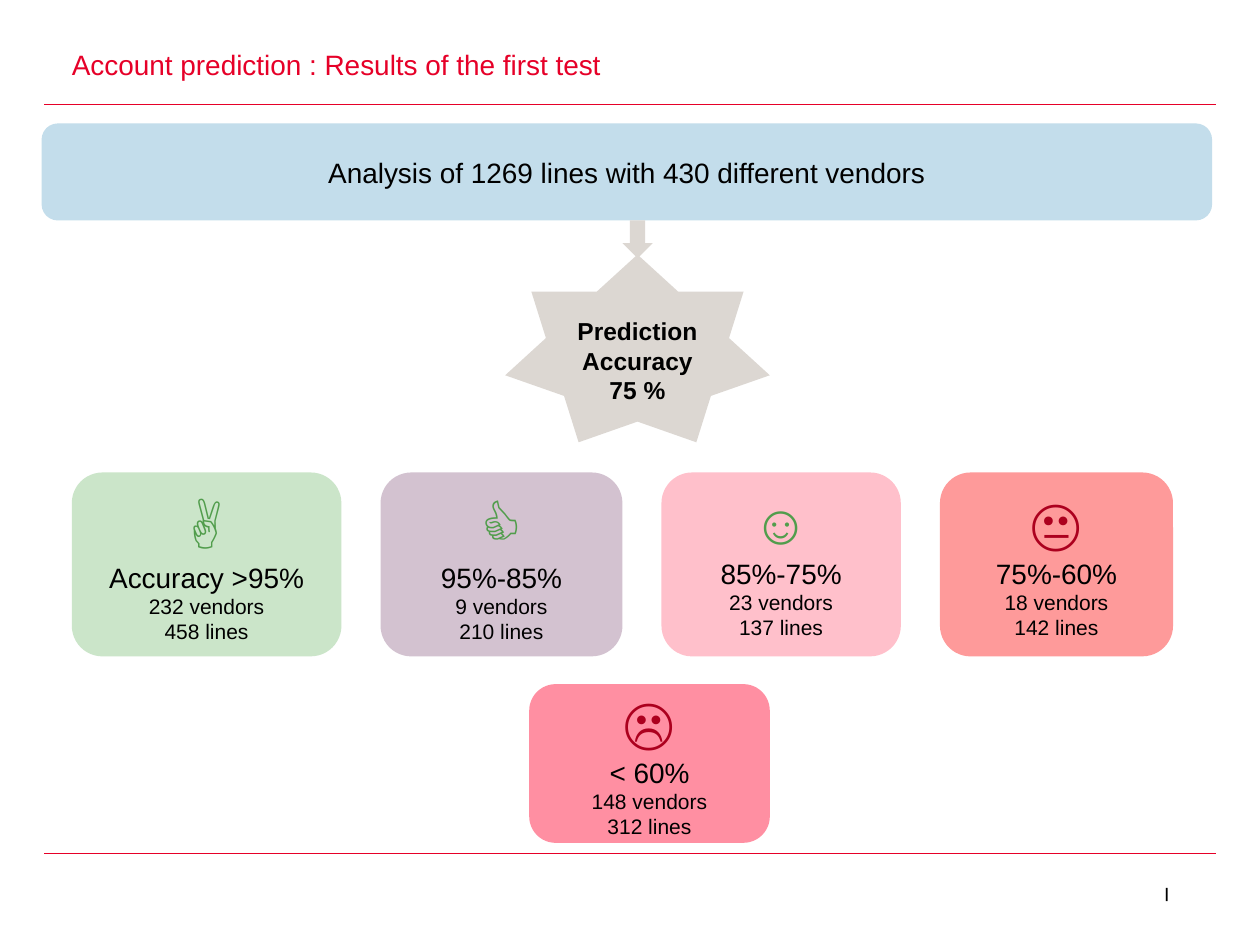
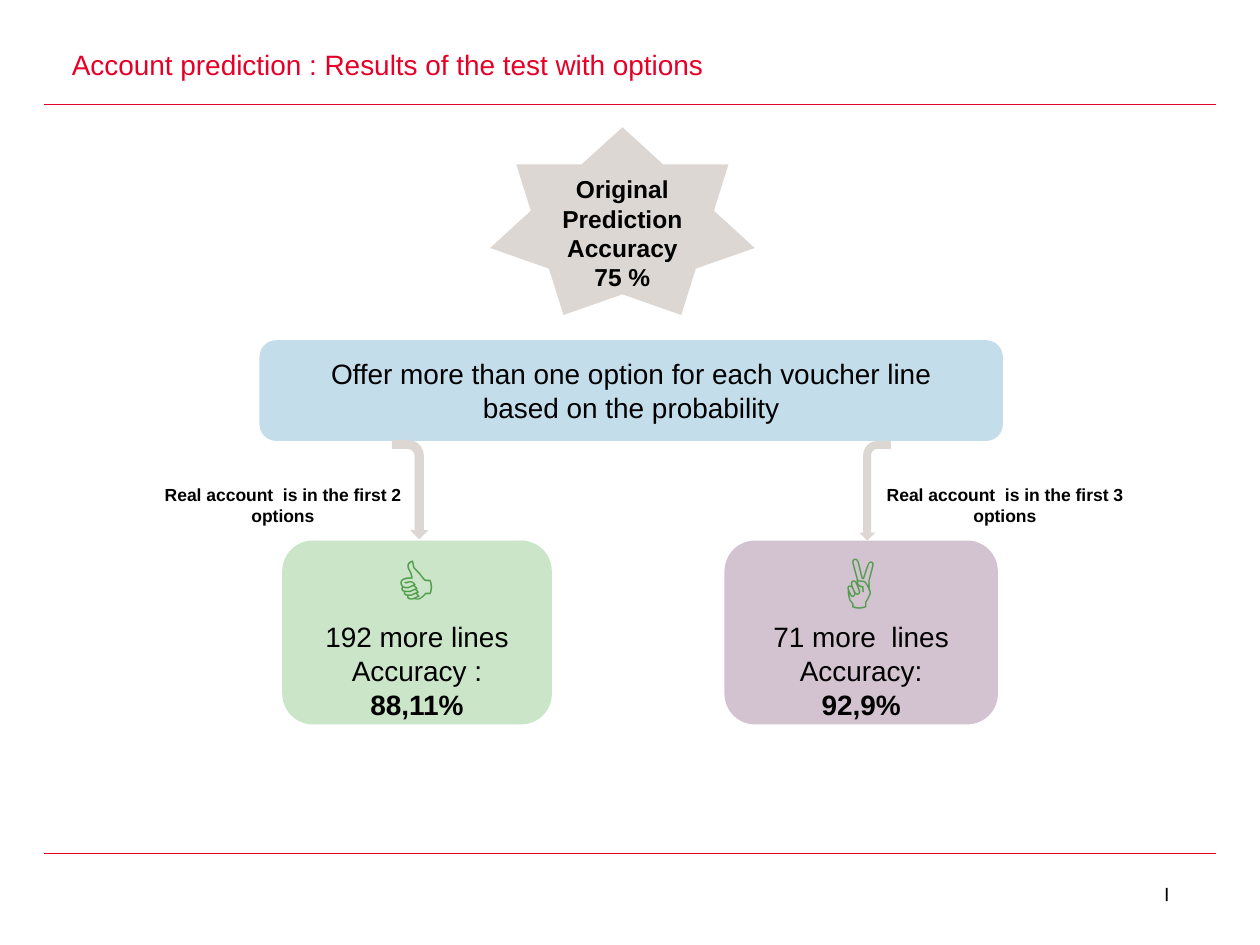
from lxml.etree import SubElement
from pptx import Presentation
from pptx.dml.color import RGBColor
from pptx.enum.shapes import MSO_CONNECTOR, MSO_SHAPE
from pptx.enum.text import MSO_ANCHOR, PP_ALIGN
from pptx.oxml.ns import qn
from pptx.util import Inches, Pt

FONT = "Arial"
COLORS = {
    "red": "E60028", "text": "000000", "good": "519D4C", "bad": "AC001E",
    "blue": "C3DDEB", "beige": "DCD7D2", "green": "CBE5C9", "mauve": "D3C2D0",
    "pink": "FFC0CB", "salmon": "FE9A9A", "rose": "FF8FA2",
}

# Content: a paragraph is a list of (text, format) runs
FIRST_TITLE = "Account prediction : Results of the first test"
OPTIONS_TITLE = "Account prediction : Results of the test with options"
ANALYSIS = ["Analysis of 1269 lines with 430 different vendors"]
OFFER = ["Offer more than one option for each voucher line",
         "based on the probability"]
STAR_FIRST = ["Prediction", "Accuracy", "75 %"]
STAR_OPTIONS = ["Original Prediction", "Accuracy", "75 %"]

# symbol, symbol size, symbol colour, range, vendors, lines, fill, width
BANDS = [
    ("✌", 36, "good", "Accuracy >95%", 232, 458, "green", 2.14),
    ("👍", 36, "good", "95%-85%", 9, 210, "mauve", 1.92),
    ("☺", 32, "good", "85%-75%", 23, 137, "pink", 1.9),
    ("😐", 32, "bad", "75%-60%", 18, 142, "salmon", 1.85),
]
LOWEST = ("☹", 32, "bad", "< 60%", 148, 312, "rose", 1.91)

# symbol, paragraphs, fill, card left and width,
# note, note left and width, arrow box, arrow flipped
OPTIONS = [
    ("👍", ["192 more lines", [("Accuracy : ", {}), ("88,11%", {"bold": True})]],
     "green", 2.24, 2.14, "Real account  is in the first 2 options", 1.19, 2.11,
     (2.86, 3.74, 0.79, 0.29), False),
    ("✌", ["71 more  lines", "Accuracy:", [("92,9%", {"bold": True})]],
     "mauve", 5.75, 2.17, "Real account  is in the first 3 options", 6.82, 2.31,
     (6.55, 3.77, 0.79, 0.25), True),
]

# Grid, in inches
SLIDE_W, SLIDE_H = 10, 7.5
EDGE, LEFT, RIGHT = 0.35, 0.57, 9.31
RULES = (0.83, 6.77)
CARD_H, BANDS_TOP, OPTIONS_TOP = 1.46, 3.75, 4.29
BAND_GAP = (RIGHT - LEFT - sum(b[-1] for b in BANDS)) / (len(BANDS) - 1)


def rgb(name):
    return RGBColor.from_string(COLORS[name])


def write(tf, paragraphs, size=16, color="text", bold=False,
          align=PP_ALIGN.CENTER, anchor=MSO_ANCHOR.MIDDLE, spacing=None):
    """Fill a text frame; each run may override size, color and bold."""
    tf.word_wrap = True
    tf.vertical_anchor = anchor
    for i, runs in enumerate(paragraphs):
        p = tf.paragraphs[0] if i == 0 else tf.add_paragraph()
        p.alignment = align
        if spacing:
            p.line_spacing = spacing
        for text, fmt in [(runs, {})] if isinstance(runs, str) else runs:
            r = p.add_run()
            r.text = text
            r.font.name = FONT
            r.font.size = Pt(fmt.get("size", size))
            r.font.bold = fmt.get("bold", bold)
            r.font.color.rgb = rgb(fmt.get("color", color))


def no_insets(tf):
    tf.margin_left = tf.margin_right = tf.margin_top = tf.margin_bottom = 0


def add_shape(s, kind, box, fill, paragraphs=(), **fmt):
    sp = s.shapes.add_shape(kind, *map(Inches, box))
    sp.shadow.inherit = False
    sp.fill.solid()
    sp.fill.fore_color.rgb = rgb(fill)
    sp.line.fill.background()
    write(sp.text_frame, paragraphs, **fmt)
    return sp


def add_text(s, box, paragraphs, **fmt):
    tf = s.shapes.add_textbox(*map(Inches, box)).text_frame
    write(tf, paragraphs, **fmt)
    return tf


def add_star(s, left, top, paragraphs):
    sp = add_shape(s, MSO_SHAPE.STAR_7_POINT, (left, top, 2.1, 1.49), "beige",
                   paragraphs, size=14, bold=True)
    sp.text_frame.margin_top = Inches(0.31)


def add_band(s, band, left, top, height):
    symbol, size, color, label, vendors, lines, fill, width = band
    small = {"size": 12}
    add_shape(s, MSO_SHAPE.ROUNDED_RECTANGLE, (left, top, width, height), fill, [
        [(symbol, {"size": size, "color": color})], label,
        [(f"{vendors} vendors", small)], [(f"{lines} lines", small)]])


def add_slide(prs, title):
    s = prs.slides.add_slide(prs.slide_layouts[5])
    # Title
    sp = s.shapes.title
    sp.left, sp.top, sp.width, sp.height = map(Inches, (LEFT, 0.25, 8.56, 0.55))
    no_insets(sp.text_frame)
    write(sp.text_frame, [title], color="red", align=PP_ALIGN.LEFT, spacing=0.9)
    # Header and footer rules
    for y in RULES:
        line = s.shapes.add_connector(MSO_CONNECTOR.STRAIGHT, Inches(EDGE), Inches(y),
                                      Inches(SLIDE_W - EDGE), Inches(y))
        line.line.color.rgb = rgb("red")
        line.line.width = Pt(0.5)
        SubElement(line._element.spPr, qn("a:effectLst"))
    # Footer mark
    tf = add_text(s, (9.22, 7.02, 0.08, 0.48), ["|"], size=8, bold=True,
                  anchor=MSO_ANCHOR.TOP)
    no_insets(tf)
    tf.word_wrap = False
    return s


def build_first_test(prs):
    s = add_slide(prs, FIRST_TITLE)
    add_shape(s, MSO_SHAPE.ROUNDED_RECTANGLE, (0.33, 0.98, 9.29, 0.77), "blue", ANALYSIS)
    add_shape(s, MSO_SHAPE.DOWN_ARROW, (4.94, 1.75, 0.24, 0.3), "beige")
    add_star(s, 4.01, 2.02, STAR_FIRST)
    # Accuracy bands, evenly spaced
    left = LEFT
    for band in BANDS:
        add_band(s, band, left, BANDS_TOP, CARD_H)
        left += band[-1] + BAND_GAP
    add_band(s, LOWEST, 4.2, 5.43, 1.26)


def build_options_test(prs):
    s = add_slide(prs, OPTIONS_TITLE)
    add_star(s, 3.89, 1.01, STAR_OPTIONS)
    add_shape(s, MSO_SHAPE.ROUNDED_RECTANGLE, (2.06, 2.7, 5.9, 0.8), "blue", OFFER)
    # One card, arrow and note per option
    for (symbol, result, fill, left, width,
         note, note_left, note_width, arrow_box, flipped) in OPTIONS:
        add_shape(s, MSO_SHAPE.ROUNDED_RECTANGLE, (left, OPTIONS_TOP, width, CARD_H),
                  fill, [[(symbol, {"size": 36, "color": "good"})], *result])
        arrow = add_shape(s, MSO_SHAPE.BENT_ARROW, arrow_box, "beige")
        arrow.rotation = 90
        if flipped:
            arrow._element.spPr.find(qn("a:xfrm")).set("flipV", "1")
        add_text(s, (note_left, 3.79, note_width, 0.44), [note], size=10, bold=True,
                 anchor=MSO_ANCHOR.TOP)


def main():
    prs = Presentation()
    prs.slide_width, prs.slide_height = Inches(SLIDE_W), Inches(SLIDE_H)
    build_first_test(prs)
    build_options_test(prs)
    prs.save("out.pptx")


if __name__ == "__main__":
    main()
